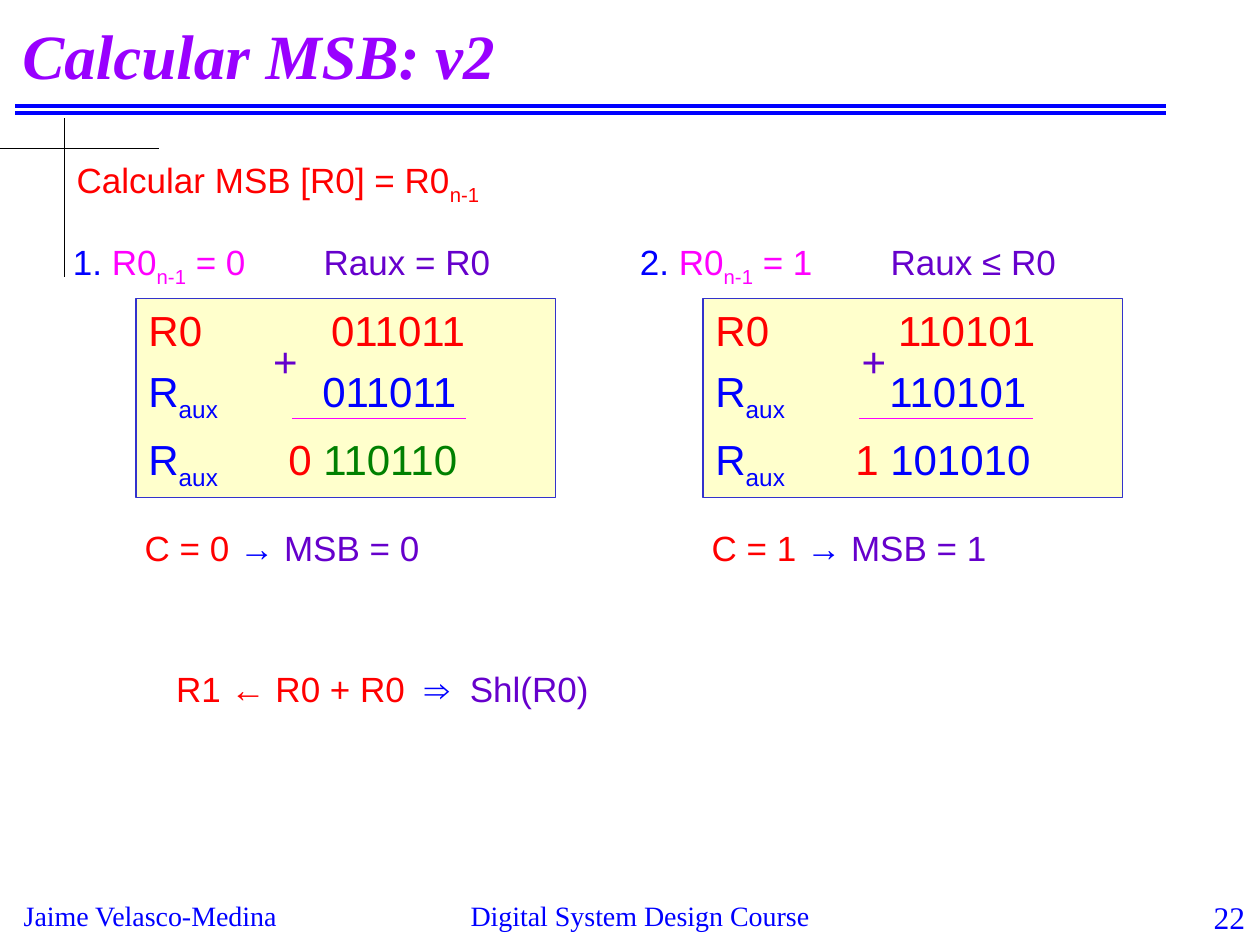
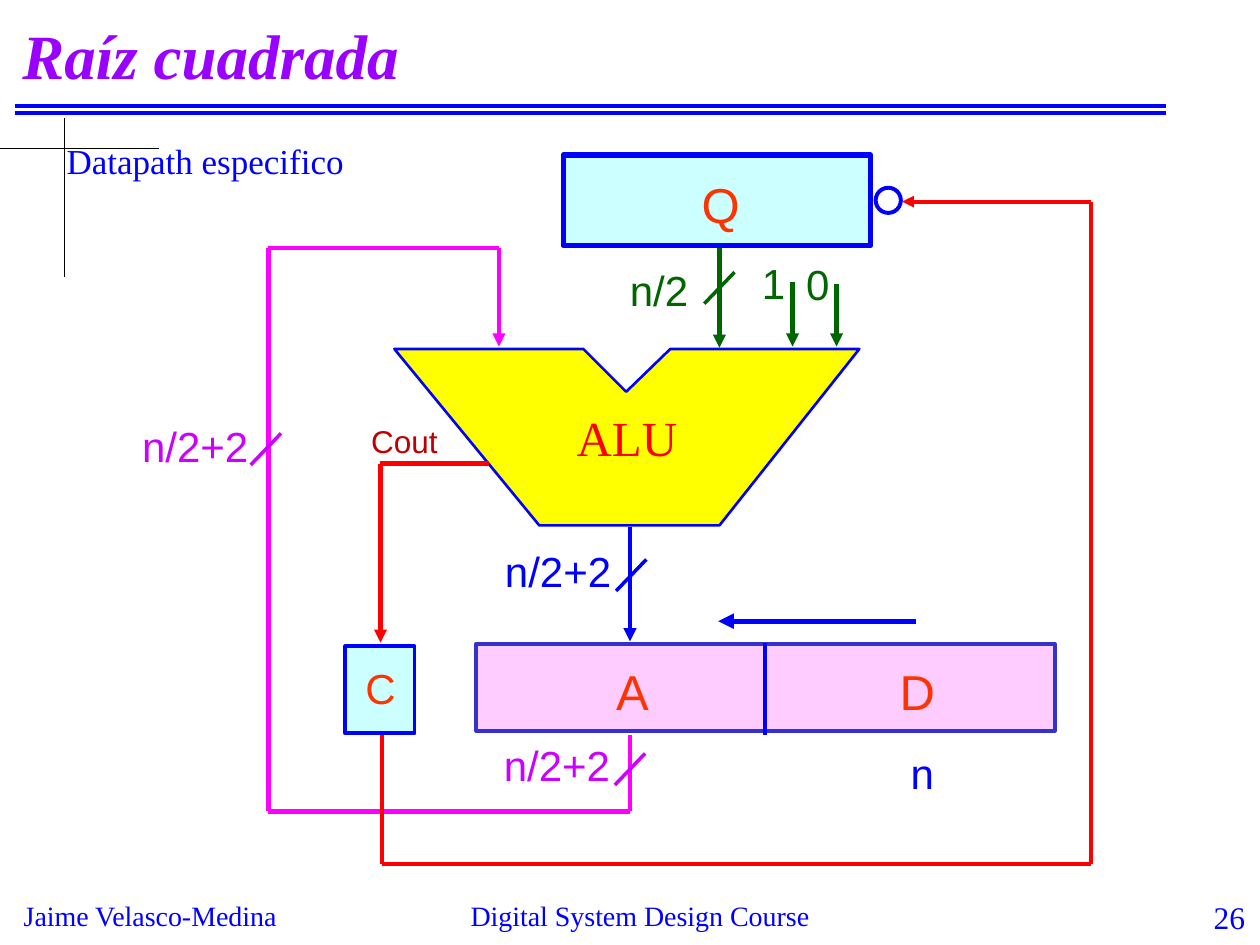
from itertools import pairwise

from lxml import etree
from pptx import Presentation
from pptx.dml.color import RGBColor
from pptx.enum.shapes import MSO_CONNECTOR, MSO_SHAPE
from pptx.enum.text import MSO_ANCHOR, PP_ALIGN
from pptx.oxml.ns import qn
from pptx.util import Pt

PX = 9144  # 100 px to the inch
SANS, SERIF = "Arial", "Times New Roman"
LEFT, CENTER, RIGHT = PP_ALIGN.LEFT, PP_ALIGN.CENTER, PP_ALIGN.RIGHT
TOP, MIDDLE = MSO_ANCHOR.TOP, MSO_ANCHOR.MIDDLE
RECT, OVAL, STRAIGHT = MSO_SHAPE.RECTANGLE, MSO_SHAPE.OVAL, MSO_CONNECTOR.STRAIGHT

BLUE, RED, BLACK = "0000FF", "FF0000", "000000"
VIOLET, PURPLE, ORCHID, MAGENTA = "9900FF", "6600CC", "CC00FF", "FF00FF"
GREEN, DARK_GREEN, ORANGE, MAROON = "008000", "006600", "FF3300", "C00000"
INDIGO, CREAM, YELLOW, PINK, CYAN = "3333CC", "FFFFCC", "FFFF00", "FFCCFF", "CCFFFF"


def rgb(value):
    return RGBColor.from_string(value)


def write(frame, paragraphs, size, font=SANS, align=LEFT, anchor=TOP, inset=True,
          gap=0, tabs=(), bold=False, italic=False):
    """Fill a text frame; a run is (text, colour) or (text, colour, True) for a subscript."""
    frame.word_wrap = True
    frame.vertical_anchor = anchor
    frame.margin_left = frame.margin_right = 10 * PX if inset else 0
    frame.margin_top = frame.margin_bottom = 5 * PX if inset else 0
    for index, runs in enumerate(paragraphs):
        paragraph = frame.add_paragraph() if index else frame.paragraphs[0]
        if tabs:
            tab_list = etree.SubElement(paragraph._p.get_or_add_pPr(), qn("a:tabLst"))
            for stop in tabs:
                etree.SubElement(tab_list, qn("a:tab"), pos=str(stop * PX), algn="l")
        paragraph.alignment = align
        if index and gap:
            paragraph.space_before = Pt(gap)
        for text, color, *subscript in runs:
            run = paragraph.add_run()
            run.text = text
            run.font.name, run.font.size = font, Pt(size)
            run.font.bold, run.font.italic = bold, italic
            run.font.color.rgb = rgb(color)
            if subscript:
                run.font._element.set("baseline", "-25000")


def paint(shape, fill, line, width):
    shape.shadow.inherit = False
    if fill:
        shape.fill.solid()
        shape.fill.fore_color.rgb = rgb(fill)
    else:
        shape.fill.background()
    shape.line.color.rgb = rgb(line)
    shape.line.width = Pt(width)


class Region:
    """Part of a slide whose coordinates start at its own top left corner."""

    def __init__(self, slide, left=0, top=0):
        self.slide, self.left, self.top = slide, left, top

    def place(self, x, y):
        return (self.left + x) * PX, (self.top + y) * PX

    def text(self, x, y, width, height, runs, size, **style):
        area = self.slide.shapes.add_textbox(*self.place(x, y), width * PX, height * PX)
        write(area.text_frame, [runs], size, **style)

    def label(self, center_x, center_y, text, color, size=24):
        self.text(center_x - 60, center_y - 20, 120, 40, [(text, color)], size,
                  align=CENTER, anchor=MIDDLE, inset=False)

    def box(self, x, y, width, height, fill, line, weight, kind=RECT):
        shape = self.slide.shapes.add_shape(
            kind, *self.place(x, y), width * PX, height * PX)
        paint(shape, fill, line, weight)
        return shape

    def wire(self, points, color, width, arrow=False):
        """Join the points with straight segments, with an arrowhead at the last one."""
        for start, end in pairwise(points):
            segment = self.slide.shapes.add_connector(
                STRAIGHT, *self.place(*start), *self.place(*end))
            segment.line.color.rgb = rgb(color)
            segment.line.width = Pt(width)
            etree.SubElement(segment._element.spPr, qn("a:effectLst"))
        if arrow:
            etree.SubElement(segment.line._get_or_add_ln(), qn("a:tailEnd"), type="triangle")

    def slash(self, center_x, center_y, color):
        self.wire([(center_x - 12, center_y + 12), (center_x + 12, center_y - 13)], color, 2)


def new_slide(deck, title, number):
    slide = deck.slides.add_slide(deck.slide_layouts[6])
    page = Region(slide)
    for y in (84, 90):
        page.wire([(12, y), (925, y)], BLUE, 2.25)
    page.wire([(0, 118), (126, 118)], BLACK, 0.75)
    page.wire([(51, 94), (51, 220)], BLACK, 0.75)
    footers = (
        (9, 240, "Jaime Velasco-Medina", 16, LEFT),
        (333, 350, "Digital System Design Course", 16, CENTER),
        (929, 69, number, 18, RIGHT),
    )
    for x, width, text, size, align in footers:
        page.text(x, 708, width, 33, [(text, BLUE)], size, font=SERIF, align=align)
    page.text(8, 8, 905, 70, [(title, VIOLET)], 36, font=SERIF, bold=True, italic=True)
    return slide


def msb_case(slide, left, top, number, bit, relation, operand, total, total_color, plus_x):
    """One worked addition: heading, sum in a box and the carry it leads to."""
    case = Region(slide, left, top)
    heading = [(f"{number}. ", BLUE), ("R0", MAGENTA), ("n-1", MAGENTA, True),
               (f" = {bit}\t", MAGENTA), (f"Raux {relation} R0", PURPLE)]
    case.text(0, 0, 378, 48, heading, 20, tabs=[199])

    addition = case.box(60, 51, 333, 158, CREAM, INDIGO, 0.75)
    auxiliary = [("R", BLUE), ("aux", BLUE, True)]
    rows = [
        [(f"R0\t{operand}", RED)],
        auxiliary + [(f"\t\u0020{operand}".replace(" ", ""), BLUE)],
        auxiliary + [(f"\t{bit} ", RED), (total, total_color)],
    ]
    row_tabs = ([145], [138], [111])
    write(addition.text_frame, rows, 24, gap=6)
    for paragraph, stops in zip(addition.text_frame.paragraphs, row_tabs):
        tab_list = etree.SubElement(paragraph._p.get_or_add_pPr(), qn("a:tabLst"))
        for stop in stops:
            etree.SubElement(tab_list, qn("a:tab"), pos=str(stop * PX), algn="l")
    case.text(plus_x, 75, 40, 50, [("+", PURPLE)], 24)
    case.wire([(184, 146), (322, 146)], MAGENTA, 0.75)

    carry = [(f"C = {bit} ", RED), ("→ ", BLUE), (f"MSB = {bit}", PURPLE)]
    case.text(57, 227, 295, 44, carry, 20)


def msb_slide(deck):
    slide = new_slide(deck, "Calcular MSB: v2", "22")
    page = Region(slide)
    page.text(51, 121, 375, 48,
              [("Calcular MSB [R0] = R0", RED), ("n-1", RED, True)], 20)
    msb_case(slide, 48, 186, 1, 0, "=", "011011", "110110", GREEN, 159)
    msb_case(slide, 498, 186, 2, 1, "≤", "110101", "101010", BLUE, 176)
    conclusion = [("R1 ← R0 + R0\t", RED), ("⇒\t", BLUE), ("Shl(R0)", PURPLE)]
    page.text(130, 525, 425, 44, conclusion, 20, tabs=[197, 233])


def alu(slide, left, top):
    outline = [(150, 0), (184, 34), (219, 0), (369, 0), (258, 140), (115, 140)]
    builder = slide.shapes.build_freeform(left, top, scale=PX)
    builder.add_line_segments([(left + x, top + y) for x, y in outline], close=True)
    body = builder.convert_to_shape()
    paint(body, YELLOW, BLUE, 1.5)
    write(body.text_frame, [[("ALU", RED)]], 28, font=SERIF, align=CENTER, anchor=MIDDLE)


def registers(slide, left, top):
    area = Region(slide, left, top)
    area.box(178, 411, 459, 69, PINK, INDIGO, 2.25)
    area.wire([(407, 410), (407, 483)], BLUE, 2.25)
    area.box(247, 23, 244, 72, CYAN, BLUE, 3)
    area.box(74, 413, 55, 69, CYAN, BLUE, 2.25)
    area.box(495, 49, 20, 20, None, BLUE, 2.25, OVAL)
    for name, x, y, size in (("A", 302, 448, 28), ("D", 528, 448, 28),
                             ("Q", 372, 62, 28), ("C", 102, 446, 24)):
        area.label(x, y, name, ORANGE, size)


def buses(slide, left, top):
    area = Region(slide, left, top)
    feedback = [(300, 483), (300, 544), (13, 544), (13, 97), (196, 97), (196, 175)]
    area.wire(feedback, MAGENTA, 2.5, arrow=True)
    for x, start, end, color in ((371, 97, 176, DARK_GREEN), (429, 124, 175, DARK_GREEN),
                                 (464, 125, 175, DARK_GREEN), (300, 318, 409, BLUE)):
        area.wire([(x, start), (x, end)], color, 2.5, arrow=True)
    area.wire([(188, 268), (102, 268), (102, 410)], RED, 2.5, arrow=True)
    carry_to_q = [(103, 483), (103, 586), (666, 586), (666, 60), (516, 60)]
    area.wire(carry_to_q, RED, 2.25, arrow=True)
    area.wire([(527, 393), (370, 393)], BLUE, 3, arrow=True)

    for x, y, color in ((11, 257, ORCHID), (371, 129, DARK_GREEN),
                        (301, 357, BLUE), (300, 511, ORCHID)):
        area.slash(x, y, color)
    for text, x, y, color in (("n/2+2", -45, 254, ORCHID), ("n/2+2", 243, 353, BLUE),
                              ("n/2+2", 242, 507, ORCHID), ("n/2", 323, 130, DARK_GREEN),
                              ("n", 532, 513, BLUE), ("1", 414, 124, DARK_GREEN),
                              ("0", 449, 125, DARK_GREEN)):
        area.label(x, y, text, color)
    area.label(121, 250, "Cout", MAROON, 18)


def datapath_slide(deck):
    slide = new_slide(deck, "Raíz cuadrada", "26")
    Region(slide).text(43, 106, 264, 44, [("Datapath especifico", BLUE)], 20, font=SERIF)
    alu(slide, 313, 277)
    registers(slide, 200, 100)
    buses(slide, 200, 100)


def main():
    deck = Presentation()
    deck.slide_width, deck.slide_height = 1000 * PX, 750 * PX
    msb_slide(deck)
    datapath_slide(deck)
    deck.save("out.pptx")


if __name__ == "__main__":
    main()
